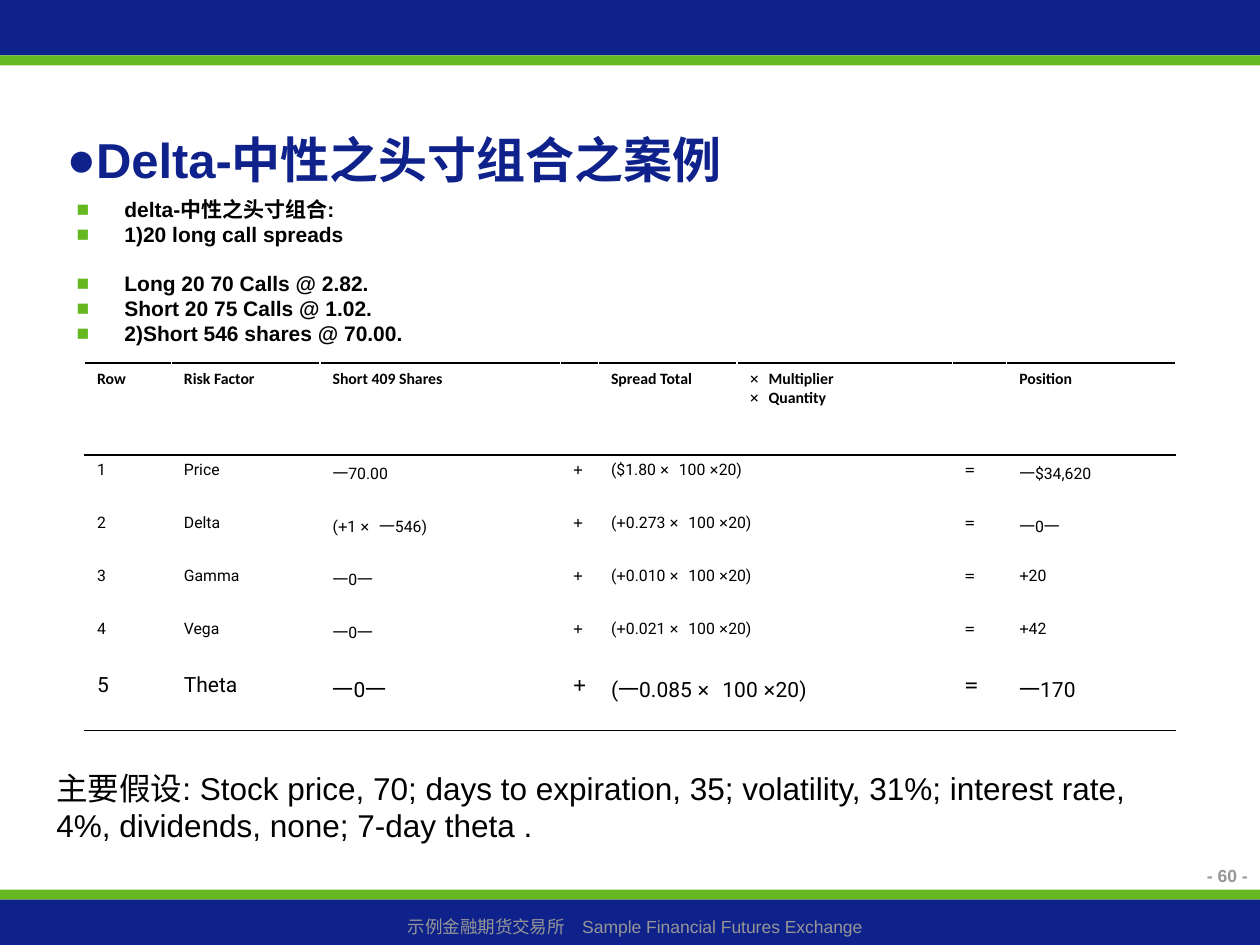
from lxml import etree
from pptx import Presentation
from pptx.dml.color import RGBColor
from pptx.enum.shapes import MSO_SHAPE
from pptx.enum.text import MSO_ANCHOR, PP_ALIGN
from pptx.oxml.ns import qn
from pptx.util import Inches, Pt

RECT = MSO_SHAPE.RECTANGLE
TOP, MIDDLE = MSO_ANCHOR.TOP, MSO_ANCHOR.MIDDLE
LEFT, CENTER, RIGHT = PP_ALIGN.LEFT, PP_ALIGN.CENTER, PP_ALIGN.RIGHT
NAVY, GREEN, GRAY, BLACK = "0F218B", "66B821", "969696", "000000"
MONO, SIGNS = "DejaVu Sans Mono", "×+=一"

# Content
BANDS = [(0, 0.44, NAVY), (7.06, 0.08, GREEN), (0.44, 0.08, GREEN), (7.14, 0.36, NAVY)]
TITLE = "Delta-中性之头寸组合之案例"
POINTS = [
    "delta-中性之头寸组合:",
    "1)20 long call spreads",
    "Long 20 70 Calls @ 2.82.",
    "Short 20 75 Calls @ 1.02.",
    "2)Short 546 shares @ 70.00.",
]
GAP_AT = 2  # this point starts a new group
NOTE = ("主要假设: Stock price, 70; days to expiration, 35; volatility, 31%; "
        "interest rate, 4%, dividends, none; 7-day theta .")
FOOTER = "示例金融期货交易所　Sample Financial Futures Exchange"
PAGE = "- 60 -"

# "|" parts the runs of a cell; a run that starts with a sign is set in MONO
HEAD = ["Row", "Risk Factor", "Short 409 Shares", "", "Spread Total",
        "× |Multiplier\n× |Quantity", "", "Position"]
RISKS = [
    ("Price", "一|70.00", "($1.80 ", "一|$34,620"),
    ("Delta", "(|+|1 |× 一|546)", "(|+|0.273 ", "一|0|一"),
    ("Gamma", "一|0|一", "(|+|0.010 ", "+|20"),
    ("Vega", "一|0|一", "(|+|0.021 ", "+|42"),
    ("Theta", "一|0|一", "(|一|0.085 ", "一|170"),
]
ROWS = [HEAD] + [
    [str(n), risk, stock, "+", spread + "|× |100 |×|20)", "", "=", total]
    for n, (risk, stock, spread, total) in enumerate(RISKS, 1)
]
COLS = [0.69, 1.18, 1.91, 0.3, 1.1, 1.71, 0.43, 1.34]
TALL = [0.73] + [0.42] * 4 + [0.51]


def color(code):
    return RGBColor.from_string(code)


def add_run(para, text, **form):
    run = para.add_run()
    run.text = text
    form = {"name": "Arial", "bold": False, **form}
    run.font.color.rgb = color(form.pop("tint", BLACK))
    form["size"] = Pt(form["size"])
    for key, value in form.items():
        setattr(run.font, key, value)


def hang(para):
    props = para._p.get_or_add_pPr()
    props.set("marL", str(Inches(0.38)))
    props.set("indent", str(-Inches(0.38)))


def add_bullet(para, mark, tint):
    props = para._p.get_or_add_pPr()
    shade = etree.SubElement(props, qn("a:buClr"))
    etree.SubElement(shade, qn("a:srgbClr"), val=tint)
    etree.SubElement(props, qn("a:buFont"), typeface="Arial")
    etree.SubElement(props, qn("a:buChar"), char=mark)


def add_box(slide, place, anchor=TOP, align=LEFT):
    frame = slide.shapes.add_textbox(*map(Inches, place)).text_frame
    frame.word_wrap = True
    frame.vertical_anchor = anchor
    frame.paragraphs[0].alignment = align
    return frame


def add_border(cell, side):
    line = etree.SubElement(cell._tc.get_or_add_tcPr(), qn("a:" + side), w=str(Pt(1)))
    fill = etree.SubElement(line, qn("a:solidFill"))
    etree.SubElement(fill, qn("a:srgbClr"), val=BLACK)


def fill_cell(cell, text, head, size):
    frame = cell.text_frame
    for n, row in enumerate(text.split("\n")):
        para = frame.add_paragraph() if n else frame.paragraphs[0]
        hang(para)
        for part in filter(None, row.split("|")):
            sign = part[0] in SIGNS
            font = MONO if sign else "Calibri" if head else "Roboto"
            add_run(para, part, name=font, size=size, bold=head and not sign)


def add_risks(slide):
    place = map(Inches, (0.67, 2.88, sum(COLS), sum(TALL)))
    table = slide.shapes.add_table(len(ROWS), len(COLS), *place).table
    table.first_row = table.horz_banding = False
    for col, width in zip(table.columns, COLS):
        col.width = Inches(width)
    last = len(ROWS) - 1
    lines = {0: ["lnT", "lnB"], 1: ["lnT"], last: ["lnB"]}
    for r, row in enumerate(ROWS):
        table.rows[r].height = Inches(TALL[r])
        for c, text in enumerate(row):
            cell = table.cell(r, c)
            for side in lines.get(r, []):
                add_border(cell, side)
            cell.fill.background()
            fill_cell(cell, text, r == 0, 12 if r == last else 9)
        if r:
            table.cell(r, 4).merge(table.cell(r, 5))


def main():
    deck = Presentation()
    deck.slide_width, deck.slide_height = Inches(10), Inches(7.5)
    slide = deck.slides.add_slide(deck.slide_layouts[6])

    # Bands and footer
    for top, tall, tint in BANDS:
        band = slide.shapes.add_shape(RECT, 0, Inches(top), Inches(10), Inches(tall))
        band.shadow.inherit = False
        band.fill.solid()
        band.fill.fore_color.rgb = color(tint)
        band.line.fill.background()
    foot = add_box(slide, (0.08, 7.22, 9.92, 0.27), align=CENTER)
    add_run(foot.paragraphs[0], FOOTER, size=10, tint=GRAY)

    # Title
    para = add_box(slide, (0.43, 0.91, 6.93, 0.71), MIDDLE).paragraphs[0]
    add_bullet(para, "●", NAVY)
    add_run(para, TITLE, size=28, tint=NAVY, bold=True)

    # Points
    body = add_box(slide, (0.51, 1.55, 8.9, 1.18))
    for n, text in enumerate(POINTS):
        para = body.add_paragraph() if n else body.paragraphs[0]
        para.line_spacing = 0.8
        para.space_before = Pt(16.6 if n == GAP_AT else 2.8)
        hang(para)
        add_bullet(para, "■", GREEN)
        add_run(para, text, size=12, bold=True)

    add_risks(slide)

    # Note and page number
    note = add_box(slide, (0.35, 6.05, 8.74, 0.7), MIDDLE)
    add_run(note.paragraphs[0], NOTE, size=18)
    page = add_box(slide, (8.03, 6.82, 1.97, 0.36), align=RIGHT)
    add_run(page.paragraphs[0], PAGE, size=10, tint=GRAY, bold=True)

    deck.save("out.pptx")


if __name__ == "__main__":
    main()
